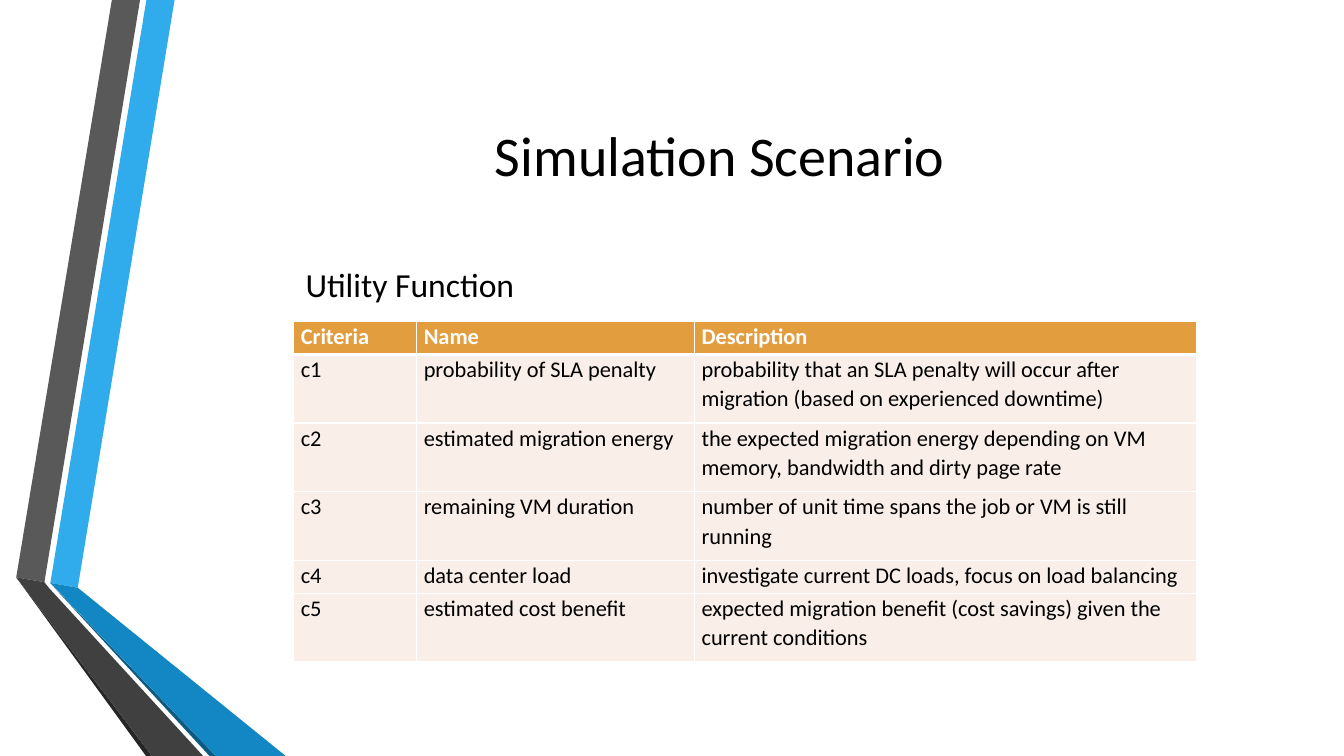
from dataclasses import dataclass

from lxml import etree
from pptx import Presentation
from pptx.dml.color import RGBColor
from pptx.enum.text import MSO_ANCHOR, PP_ALIGN
from pptx.oxml.ns import qn
from pptx.util import Cm, Pt

CENTER, LEFT = PP_ALIGN.CENTER, PP_ALIGN.LEFT
MIDDLE = MSO_ANCHOR.MIDDLE


@dataclass(frozen=True)
class Theme:
    font: str = "Calibri"
    text: str = "000000"
    white: str = "FFFFFF"
    header: str = "E29D3E"
    body: str = "FAEFE8"
    blue: str = "30ACEC"
    blue_mid: str = "1287C3"
    blue_dark: str = "0C5A82"
    gray: str = "595959"
    gray_mid: str = "404040"
    gray_dark: str = "262626"
    title_size: int = 40
    heading_size: int = 24
    table_size: int = 16


theme = Theme()


def style(p, size, color, bold=False):
    for r in p.runs:
        r.font.name = theme.font
        r.font.size = Pt(size)
        r.font.bold = bold
        r.font.color.rgb = RGBColor.from_string(color)


def add_border(cell, side, width):
    ln = etree.SubElement(cell._tc.get_or_add_tcPr(), qn(f"a:{side}"), w=str(Pt(width)))
    fill = etree.SubElement(ln, qn("a:solidFill"))
    etree.SubElement(fill, qn("a:srgbClr"), val=theme.white)


prs = Presentation()
prs.slide_width, prs.slide_height = Cm(33.87), Cm(19.05)
s = prs.slides.add_slide(prs.slide_layouts[6])

# Folded ribbons on the left, from back to front
ribbons = [
    (theme.blue, [(1.27, 14.69), (1.96, 14.81), (4.4, 0), (3.69, 0)]),
    (theme.gray, [(3.53, 0), (2.82, 0), (0.41, 14.55), (1.12, 14.67)]),
    (theme.gray_dark, [(0.41, 14.55), (3.68, 19.05), (3.83, 19.05)]),
    (theme.blue_dark, [(1.27, 14.7), (5.28, 19.05), (5.44, 19.05)]),
    (theme.blue_mid, [(1.27, 14.69), (5.44, 19.05), (7.2, 19.05), (1.96, 14.81)]),
    (theme.gray_mid, [(5.12, 19.05), (1.22, 14.8), (1.12, 14.67), (0.41, 14.55), (3.83, 19.05)]),
]
for color, points in ribbons:
    start, *rest = [(Cm(x), Cm(y)) for x, y in points]
    outline = s.shapes.build_freeform(*start)
    outline.add_line_segments(rest, close=True)
    sp = outline.convert_to_shape()
    sp.shadow.inherit = False
    sp.fill.solid()
    sp.fill.fore_color.rgb = RGBColor.from_string(color)
    sp.line.fill.background()

# Title and heading
headings = [
    ("Simulation Scenario", (4.22, 1.45, 27.84, 4.88), theme.title_size, CENTER),
    ("Utility Function", (7.45, 6.4, 22.6, 1.5), theme.heading_size, LEFT),
]
for text, box, size, align in headings:
    tf = s.shapes.add_textbox(*map(Cm, box)).text_frame
    tf.word_wrap = True
    tf.vertical_anchor = MIDDLE
    p = tf.paragraphs[0]
    p.text = text
    p.alignment = align
    style(p, size, theme.text)

# Criteria table
rows = [
    ("Criteria", "Name", "Description"),
    ("c1", "probability of SLA penalty",
     "probability that an SLA penalty will occur after migration (based on experienced downtime)"),
    ("c2", "estimated migration energy",
     "the expected migration energy depending on VM memory, bandwidth and dirty page rate"),
    ("c3", "remaining VM duration", "number of unit time spans the job or VM is still running"),
    ("c4", "data center load", "investigate current DC loads, focus on load balancing"),
    ("c5", "estimated cost benefit",
     "expected migration benefit (cost savings) given the current conditions"),
]
col_widths = [3.1, 7.0, 12.65]
row_heights = [0.83, 1.73, 1.73, 1.73, 0.83, 1.73]
table = s.shapes.add_table(len(rows), len(col_widths), Cm(7.4), Cm(8.1),
                           Cm(sum(col_widths)), Cm(sum(row_heights))).table
for col, width in zip(table.columns, col_widths):
    col.width = Cm(width)
for row, height in zip(table.rows, row_heights):
    row.height = Cm(height)

for i, texts in enumerate(rows):
    is_header = i == 0
    for j, text in enumerate(texts):
        cell = table.cell(i, j)
        cell.margin_left = cell.margin_right = Cm(0.18)
        cell.margin_top = cell.margin_bottom = 0
        for side in ("lnL", "lnR", "lnT", "lnB"):
            thick = (is_header and side == "lnB") or (i == 1 and side == "lnT")
            add_border(cell, side, 3 if thick else 1)
        cell.fill.solid()
        cell.fill.fore_color.rgb = RGBColor.from_string(theme.header if is_header else theme.body)
        p = cell.text_frame.paragraphs[0]
        p.text = text
        p.line_spacing = 1.07
        style(p, theme.table_size, theme.white if is_header else theme.text, is_header)

prs.save("out.pptx")
